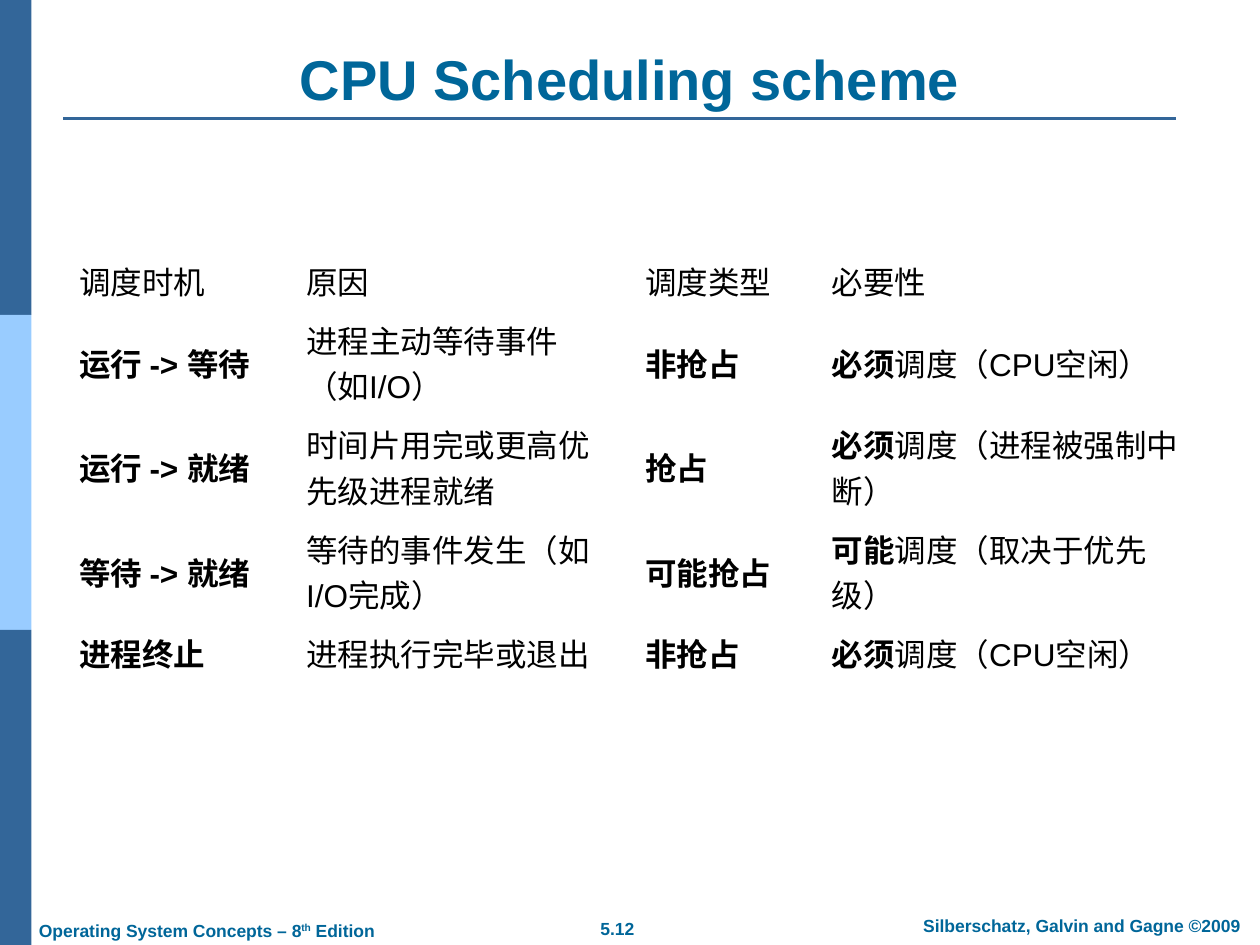
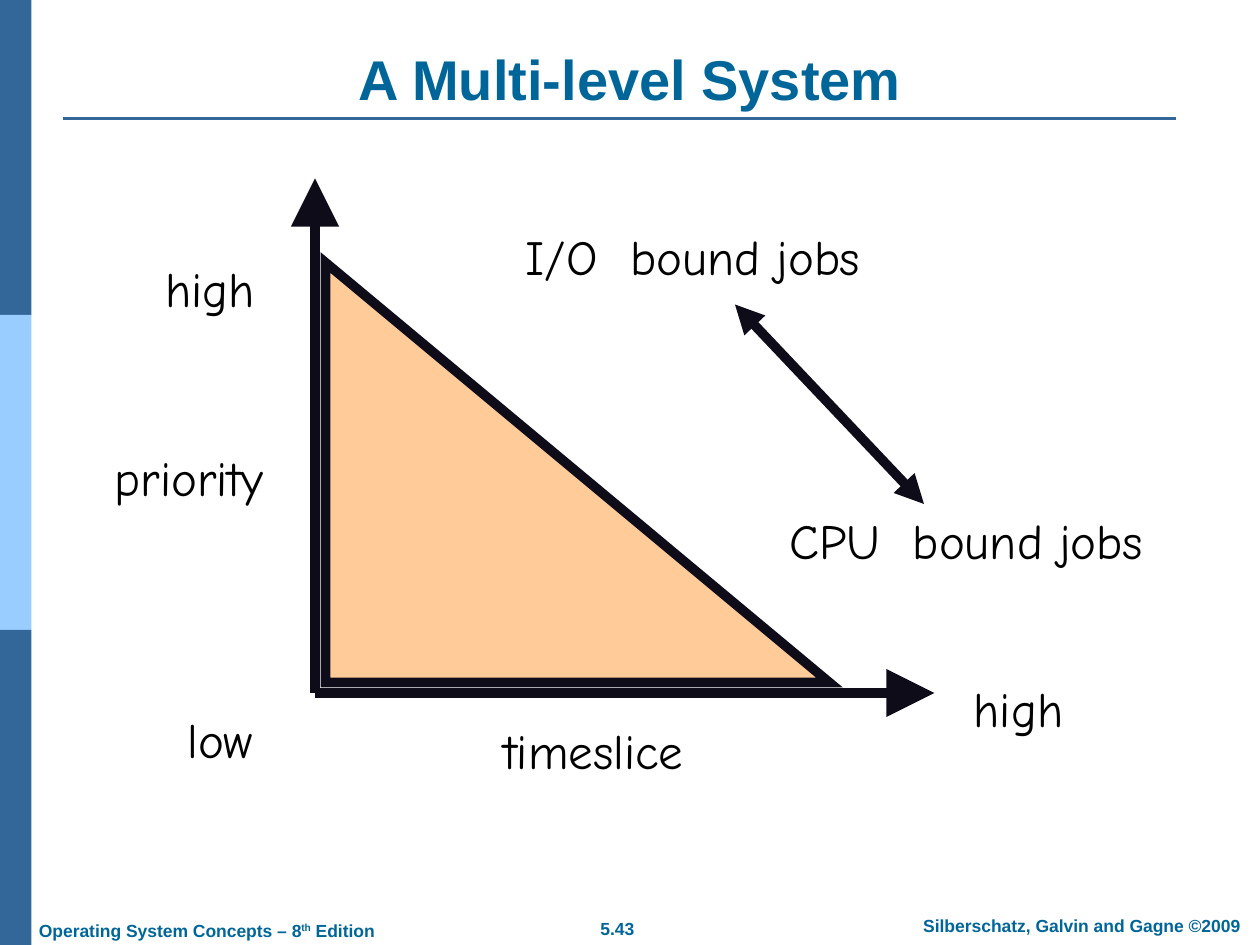
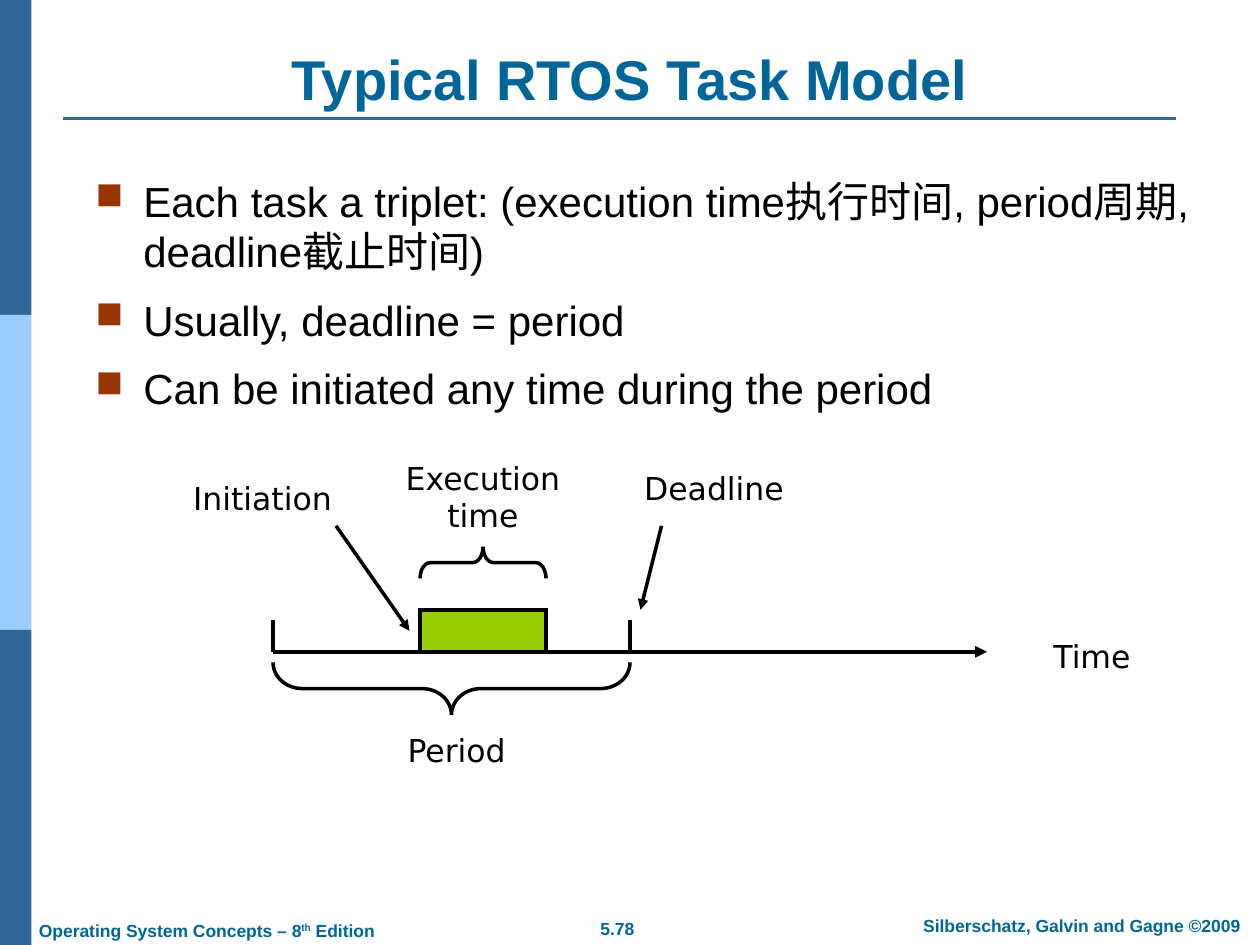
from dataclasses import dataclass
from typing import Any

from lxml import etree
from pptx import Presentation
from pptx.dml.color import RGBColor
from pptx.enum.shapes import MSO_CONNECTOR, MSO_SHAPE
from pptx.enum.text import MSO_ANCHOR, PP_ALIGN
from pptx.oxml.ns import qn
from pptx.util import Inches, Pt

RECT, TRIANGLE, BRACE = MSO_SHAPE.RECTANGLE, MSO_SHAPE.RIGHT_TRIANGLE, MSO_SHAPE.LEFT_BRACE
STRAIGHT = MSO_CONNECTOR.STRAIGHT
LEFT, CENTER = PP_ALIGN.LEFT, PP_ALIGN.CENTER
TOP, MIDDLE, BOTTOM = MSO_ANCHOR.TOP, MSO_ANCHOR.MIDDLE, MSO_ANCHOR.BOTTOM

WIDTH, HEIGHT = 10, 7.5
BAND, BAND_LIGHT, TITLE = "336699", "99CCFF", "006699"
BLACK, INK, PEACH, GREEN, RUST = "000000", "0F0C19", "FFCC99", "99CC00", "993300"
SANS, COMIC, DEJAVU, SYMBOL = "Arial", "Comic Neue", "DejaVu Sans", "OpenSymbol"
CELL = 1 / 12

SCHEDULING = [
    ["|调度时机", "|原因", "|调度类型", "|必要性"],
    ["运行 -> 等待", "|进程主动等待事件（如I/O）", "非抢占", "必须|调度（CPU空闲）"],
    ["运行 -> 就绪", "|时间片用完或更高优先级进程就绪", "抢占", "必须|调度（进程被强制中断）"],
    ["等待 -> 就绪", "|等待的事件发生（如I/O完成）", "可能抢占", "可能|调度（取决于优先级）"],
    ["进程终止", "|进程执行完毕或退出", "非抢占", "必须|调度（CPU空闲）"],
]
TASK_POINTS = [
    "Each task a triplet: (execution time执行时间, period周期, deadline截止时间)",
    "Usually, deadline = period",
    "Can be initiated any time during the period",
]


def rgb(value):
    """Turn a hex string into a colour."""
    return RGBColor.from_string(value)


def set_font(font, name, size, color, bold=False):
    """Set the face, size, colour and weight of a font."""
    font.name, font.size, font.bold = name, Pt(size), bold
    font.color.rgb = rgb(color)


def add_child(parent, tag, **attributes):
    """Append a drawing element to its parent."""
    return etree.SubElement(parent, qn(tag), attributes)


def set_line(s, color, width):
    """Give a shape or connector a solid line with mitred corners."""
    s.line.color.rgb = rgb(color)
    s.line.width = Pt(width)
    ln = s.line._get_or_add_ln()
    add_child(ln, "a:miter", lim="800000")
    return ln


@dataclass
class Canvas:
    """A region of a slide, measured in cells from its top left corner."""
    slide: Any
    left: float = 0
    top: float = 0
    cell: float = 1

    def place(self, x, y):
        """Return the slide position of a grid point."""
        return Inches(self.left + x * self.cell), Inches(self.top + y * self.cell)

    def box(self, x, y, w, h):
        """Return the slide position and size of a grid box."""
        return *self.place(x, y), Inches(w * self.cell), Inches(h * self.cell)

    def shape(self, kind, box, fill=None, line=None, width=1):
        """Draw a preset shape without shadow."""
        s = self.slide.shapes.add_shape(kind, *self.box(*box))
        s.shadow.inherit = False
        if fill:
            s.fill.solid()
            s.fill.fore_color.rgb = rgb(fill)
        else:
            s.fill.background()
        if line:
            set_line(s, line, width)
        else:
            s.line.fill.background()
        return s

    def brace(self, x, y, w, h, turn, curve):
        """Draw a horizontal brace that fills the given box."""
        upright = x + (w - h) / 2, y + (h - w) / 2, h, w
        s = self.shape(BRACE, upright, line=BLACK, width=2)
        s.adjustments[0] = curve
        s.rotation = turn

    def line(self, start, end, color, width, heads=(), size="med"):
        """Draw a straight line with arrowheads at the named ends."""
        s = self.slide.shapes.add_connector(STRAIGHT, *self.place(*start), *self.place(*end))
        ln = set_line(s, color, width)
        for head in heads:
            add_child(ln, f"a:{head}End", type="triangle", w=size, len=size)
        add_child(s._element.spPr, "a:effectLst")

    def text(self, box, runs, name, size, color=BLACK, bold=False, align=CENTER, anchor=TOP):
        """Write one paragraph and return its runs."""
        tf = self.slide.shapes.add_textbox(*self.box(*box)).text_frame
        tf.word_wrap, tf.vertical_anchor = True, anchor
        p = tf.paragraphs[0]
        p.alignment = align
        set_font(p.font, name, size, color, bold)
        for run in runs:
            p.add_run().text = run
        return p.runs


def add_frame(prs, title, number):
    """Add a slide with the side bands, title, rule and footers."""
    slide = prs.slides.add_slide(prs.slide_layouts[6])
    page = Canvas(slide)
    band = HEIGHT / 3
    for i, color in enumerate([BAND, BAND_LIGHT, BAND]):
        page.shape(RECT, (0, i * band, WIDTH / 40, band), color)
    page.line((0.5, 0.94), (9.33, 0.94), BAND, 1.5)
    footer = SANS, 10, TITLE, True
    page.text((4.41, 7.24, 0.98, 0.27), [number], *footer)
    page.text((7.1, 7.21, 2.97, 0.27), ["Silberschatz, Galvin and Gagne ©2009"], *footer)
    edition = ["Operating System Concepts – 8", "th", " Edition"]
    runs = page.text((0.21, 7.25, 2.95, 0.27), edition, *footer, align=LEFT)
    runs[1]._r.get_or_add_rPr().set("baseline", "30000")
    page.text((0.5, 0.31, 9, 0.63), [title], SANS, 32, TITLE, True, anchor=BOTTOM)
    return slide


def add_scheduling_table(slide, left, top):
    """Add the table of scheduling moments; text before a bar is bold."""
    widths, heights = [1.8, 2.69, 1.48, 3.03], [0.46, 0.83, 0.83, 0.83, 0.46]
    box = Canvas(slide, left, top).box(0, 0, sum(widths), sum(heights))
    table = slide.shapes.add_table(len(heights), len(widths), *box).table
    table.first_row = table.horz_banding = False
    for column, width in zip(table.columns, widths):
        column.width = Inches(width)
    for row, height, texts in zip(table.rows, heights, SCHEDULING):
        row.height = Inches(height)
        for cell, text in zip(row.cells, texts):
            cell.fill.background()
            cell.vertical_anchor = MIDDLE
            p = cell.text_frame.paragraphs[0]
            strong, _, plain = text.partition("|")
            set_font(p.font, SANS, 18, BLACK)
            for part, bold in [(strong, True), (plain, False)]:
                if part:
                    r = p.add_run()
                    r.text = part
                    set_font(r.font, SANS, 18, BLACK, bold)


def add_priority_diagram(slide, left, top):
    """Draw priority against timeslice for the two kinds of job."""
    chart = Canvas(slide, left, top, CELL)
    corner = 23, 49
    for end in [(23, 0), (82, 49)]:
        chart.line(corner, end, INK, 5.5, ["tail"], "lg")
    chart.shape(TRIANGLE, (24, 8, 48, 40), PEACH, INK, 5.5)
    labels = [
        ("CPU  bound jobs", 60, 31, 50), ("I/O  bound jobs", 34, 4, 50),
        ("low", 6, 50, 16), ("high", 5, 7, 16), ("high", 82, 47, 16),
        ("priority", 0, 25, 22), ("timeslice", 28, 51, 43),
    ]
    for text, x, y, w in labels:
        chart.text((x, y, w, 7), [text], COMIC, 28)
    chart.line((63, 12), (81, 31), INK, 5.5, ["head", "tail"])


def add_bullets(slide, left, top, points):
    """Write the points with square bullets."""
    box = Canvas(slide, left, top).box(0, 0, 9, 2.08)
    tf = slide.shapes.add_textbox(*box).text_frame
    tf.word_wrap = True
    for i, point in enumerate(points):
        p = tf.paragraphs[0] if i == 0 else tf.add_paragraph()
        pPr = p._p.get_or_add_pPr()
        pPr.set("marL", str(Inches(0.38)))
        pPr.set("indent", str(-Inches(0.38)))
        add_child(add_child(pPr, "a:buClr"), "a:srgbClr", val=RUST)
        add_child(pPr, "a:buSzPct", val="90000")
        add_child(pPr, "a:buFont", typeface=SYMBOL)
        add_child(pPr, "a:buChar", char="■")
        set_font(p.font, SANS, 24, BLACK)
        if i:
            p.space_before = Pt(10.5)
        p.add_run().text = point


def add_task_timeline(slide, left, top):
    """Draw one task period on a time axis."""
    chart = Canvas(slide, left, top, CELL)
    chart.line((12, 19), (80, 19), BLACK, 2.25, ["tail"])
    for x in (12, 46):
        chart.line((x, 16), (x, 19), BLACK, 2.25)
    chart.shape(RECT, (26, 15, 12, 4), GREEN, BLACK, 2.25)
    chart.brace(12, 20, 34, 5, 270, 0.56)
    chart.brace(26, 9, 12, 3, 90, 0.33)
    labels = [
        ("Execution time", 21, 0, 22, 8), ("Period", 18, 26, 23, 5),
        ("Deadline", 43, 1, 22, 5), ("Time", 79, 17, 22, 5),
        ("Initiation", 0, 2, 22, 5),
    ]
    for text, *box in labels:
        chart.text(box, [text], DEJAVU, 18)
    for start, end in [((49, 7), (47, 15)), ((18, 7), (25, 17))]:
        chart.line(start, end, BLACK, 2, ["tail"])


def main():
    """Build the three slides and save them."""
    prs = Presentation()
    prs.slide_width, prs.slide_height = Inches(WIDTH), Inches(HEIGHT)
    add_scheduling_table(add_frame(prs, "CPU Scheduling scheme", "5.12"), 0.53, 2)
    slide = add_frame(prs, "A Multi-level System", "5.43")
    add_priority_diagram(slide, 7 * CELL, 17 * CELL)
    slide = add_frame(prs, "Typical RTOS Task Model", "5.78")
    add_bullets(slide, 0.66, 1.34, TASK_POINTS)
    add_task_timeline(slide, 14 * CELL, 3.59)
    prs.save("out.pptx")


if __name__ == "__main__":
    main()
